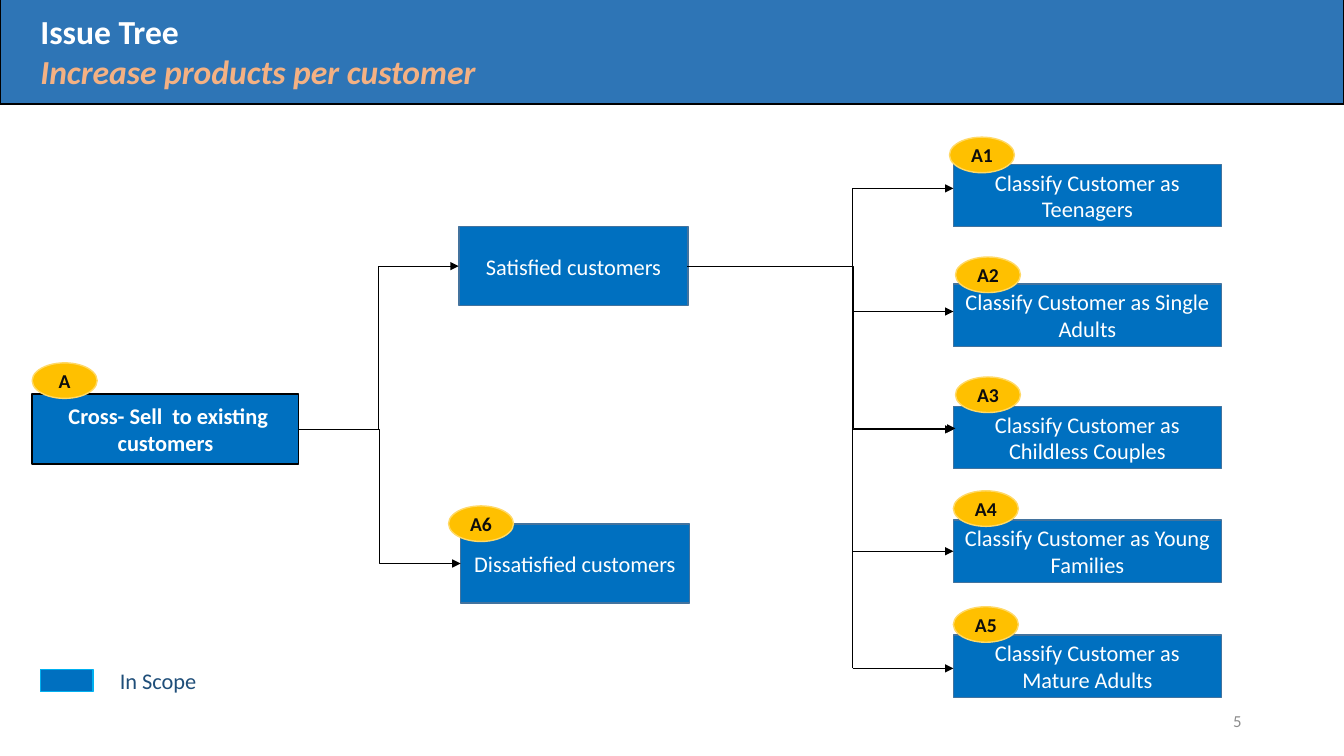
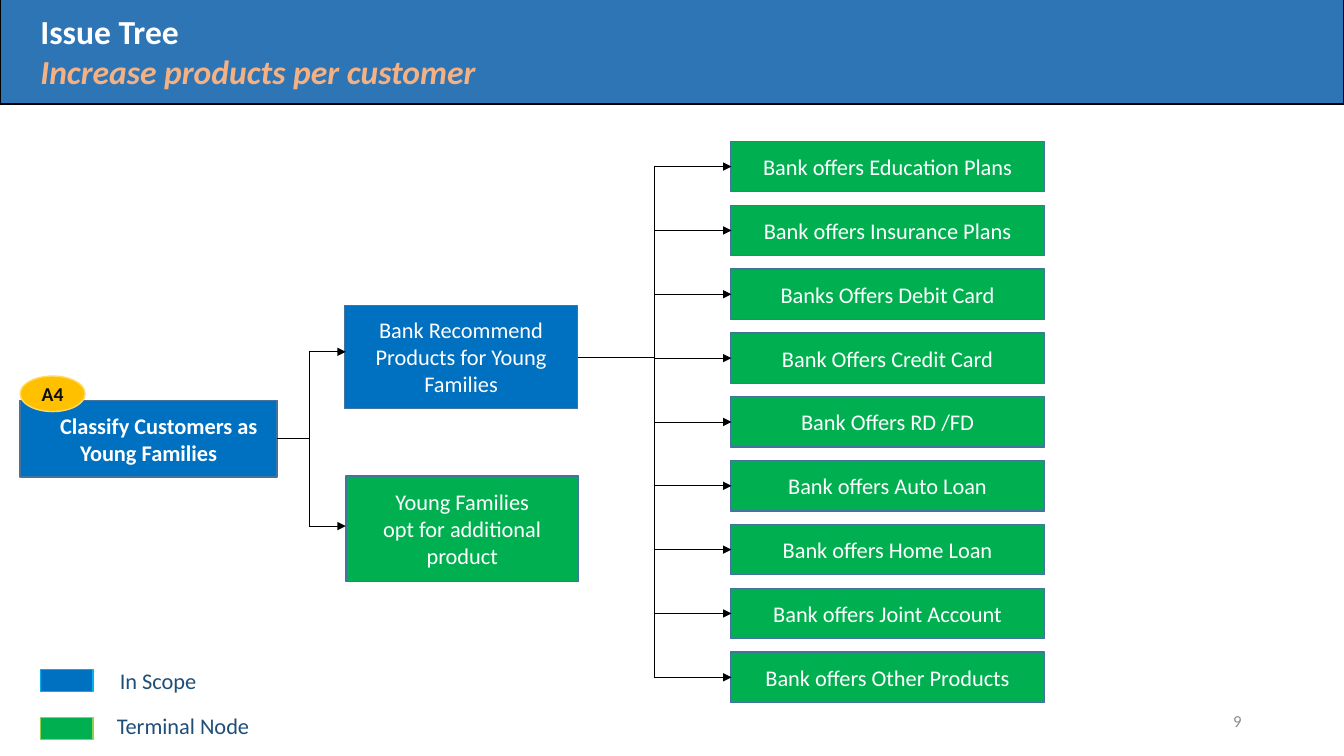
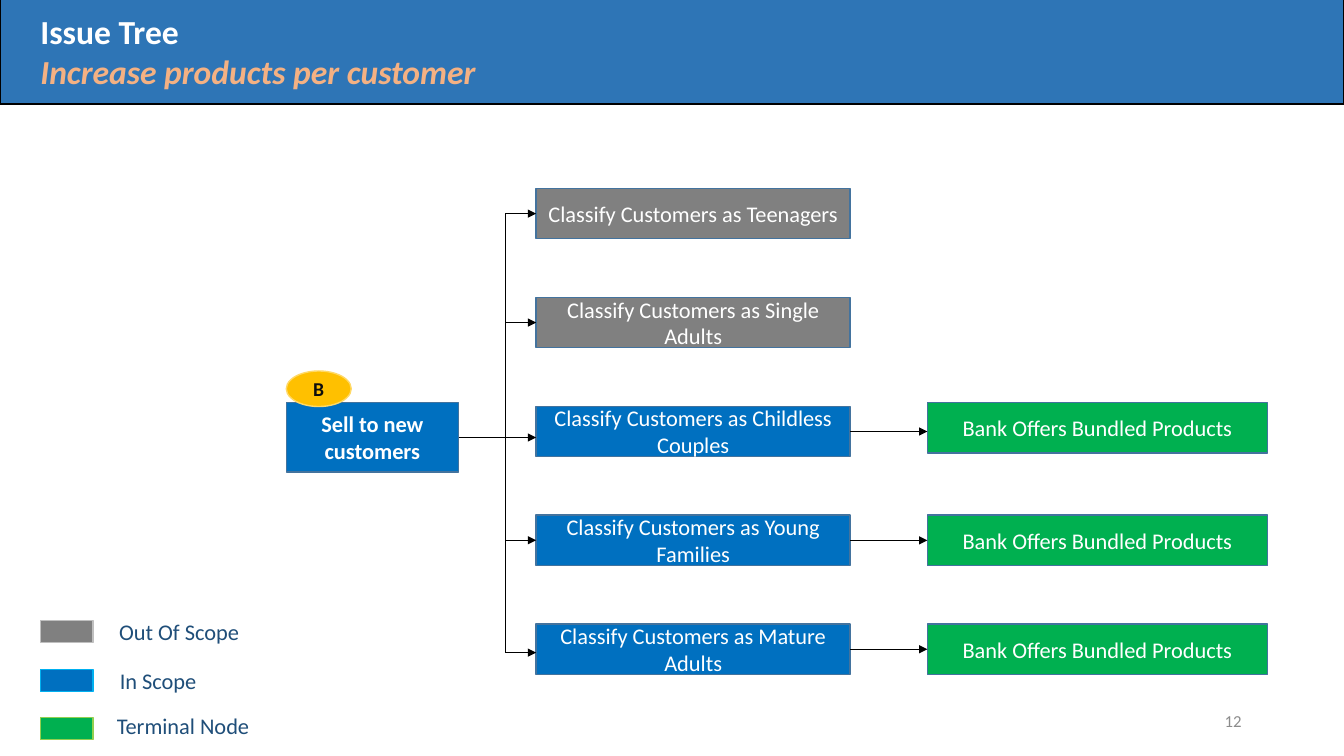
import pptx
import pptx.dml.color
import pptx.enum.shapes
import pptx.enum.text
import pptx.oxml
import pptx.oxml.ns
import pptx.util
from lxml import etree

Pt = pptx.util.Pt
RGB = pptx.dml.color.RGBColor.from_string
qn = pptx.oxml.ns.qn
SHAPE = pptx.enum.shapes.MSO_SHAPE
CONNECTOR = pptx.enum.shapes.MSO_CONNECTOR
ALIGN = pptx.enum.text.PP_ALIGN
ANCHOR = pptx.enum.text.MSO_ANCHOR

COLORS = {
    "band": "2E75B6", "subtitle": "F4B183", "white": "FFFFFF", "black": "000000",
    "in": "0070C0", "out": "808080", "terminal": "00B050", "box_line": "43739E",
    "badge": "FFC000", "badge_line": "FFD966", "badge_text": "0D0D0D",
    "label": "1F4E79", "number": "8C8C8C",
    "in_line": "00B0F0", "out_line": "BFBFBF", "terminal_line": "92D050",
}

# Text styles: alignment, anchor, colour and font values
STYLES = {
    "title": (ALIGN.LEFT, ANCHOR.MIDDLE, "white", {"size": Pt(24), "bold": True}),
    "box": (ALIGN.CENTER, ANCHOR.MIDDLE, "white", {"size": Pt(16), "bold": False}),
    "root": (ALIGN.CENTER, ANCHOR.MIDDLE, "white", {"size": Pt(16), "bold": True}),
    "badge": (ALIGN.CENTER, ANCHOR.MIDDLE, "badge_text", {"size": Pt(14), "bold": True}),
    "label": (ALIGN.LEFT, ANCHOR.TOP, "label", {"size": Pt(16), "bold": False}),
    "number": (ALIGN.RIGHT, ANCHOR.MIDDLE, "number", {"size": Pt(12), "bold": False}),
}

# Legend entries: swatch top, label left, label top, label
LEGEND = {
    "out": (443, 78, 438, "Out Of Scope"),
    "in": (478, 78.5, 473, "In Scope"),
    "terminal": (512.6, 76.3, 505.4, "Terminal Node"),
}


def paint(shape, style, text="", fill=None, line=None):
    """Fill and outline a shape, then set its text in a named style."""
    if fill:
        shape.shadow.inherit = False
        shape.fill.solid()
        shape.fill.fore_color.rgb = RGB(COLORS[fill])
        shape.line.color.rgb = RGB(COLORS[line])
        shape.line.width = Pt(1)
    alignment, anchor, color, font_values = STYLES[style]
    shape.text_frame.text = text
    shape.text_frame.vertical_anchor = anchor
    for paragraph in shape.text_frame.paragraphs:
        paragraph.alignment = alignment
        for run in paragraph.runs:
            run.font.name = "Calibri"
            run.font.color.rgb = RGB(COLORS[color])
            for name, value in font_values.items():
                setattr(run.font, name, value)


def connect(slide, start, end, arrow=True, bend=None):
    """Draw a straight line, or an elbow that turns at the share bend."""
    kind = CONNECTOR.ELBOW if bend else CONNECTOR.STRAIGHT
    connector = slide.shapes.add_connector(kind, *map(Pt, start + end))
    connector.line.color.rgb = RGB(COLORS["black"])
    connector.line.width = Pt(0.5)
    properties = connector._element.spPr
    if bend:
        guides = properties.find(qn("a:prstGeom")).get_or_add_avLst()
        etree.SubElement(guides, qn("a:gd"), name="adj1", fmla=f"val {round(bend * 100000)}")
    if arrow:
        etree.SubElement(properties.find(qn("a:ln")), qn("a:tailEnd"), type="triangle")
    etree.SubElement(properties, qn("a:effectLst"))


# Existing customers: boxes are (left, top, width, height, scope, text)
segments = ["Teenagers", "Single Adults", "Childless Couples", "Young Families", "Mature Adults"]
existing_tops = [117.4, 203, 290.2, 371.5, 453.6]
existing = {
    "number": "5", "legend": ["in"],
    "root": (23, 281.5, 190.5, 50, "Cross- Sell  to existing customers"),
    "root_line": "black", "root_indent": 4,
    "boxes": [(328, 162, 163.4, 56.2, "in", "Satisfied customers"),
              (329, 374.4, 163.4, 56.2, "in", "Dissatisfied customers")]
             + [(681, top, 191.5, 44.6, "in", f"Classify Customer as {segment}")
                for top, segment in zip(existing_tops, segments)],
    "lines": [((609, 477.4), (609, 134.6), False),
              ((213.2, 306.7), (327.6, 190.1), True, 0.5),
              ((213.2, 306.7), (329, 402.5), True, 0.5),
              ((491, 190.1), (682.5, 306), True, 0.618)]
             + [((609, y), (681, y)) for y in (134.6, 222.5, 306.7, 393.8, 477.4)],
    "badges": [(23, 259.2, "A"), (320.4, 361.4, "A6"), (678.2, 98, "A1"), (682.5, 183.6, "A2"),
               (682.5, 269.3, "A3"), (681, 350.6, "A4"), (681, 433.4, "A5")],
}

# Young families: nine offers on an equal pitch
offers = ["Bank offers Education Plans", "Bank offers Insurance Plans", "Banks Offers Debit Card",
          "Bank Offers Credit Card", "Bank Offers RD /FD", "Bank offers Auto Loan",
          "Bank offers Home Loan", "Bank offers Joint Account", "Bank offers Other Products"]
offer_tops = [101 + 45.6 * index for index in range(len(offers))]
families = {
    "number": "9", "legend": ["in", "terminal"],
    "root": (14.4, 286, 183.6, 54.7, "Classify Customers as Young Families"),
    "root_line": "box_line", "root_indent": 14.4,
    "boxes": [(246.2, 218.2, 166.3, 73.4, "in", "Bank Recommend Products for Young Families"),
              (247, 340, 166.3, 75.6, "terminal", "Young Families\nopt for additional product")]
             + [(522, top, 224, 36, "terminal", offer) for top, offer in zip(offer_tops, offers)],
    "lines": [((198, 313.2), (221, 313.2), False), ((221, 251.3), (221, 375.8), False),
              ((221, 251.3), (247, 251.3)), ((221, 375.8), (247, 375.8)),
              ((412.6, 255), (467.5, 255), False),
              ((467.5, offer_tops[0] + 18), (467.5, offer_tops[-1] + 18), False)]
             + [((467.5, top + 18), (522.5, top + 18)) for top in offer_tops],
    "badges": [(14.4, 268.6, "A4")],
}

# New customers: five segments, the last three lead to a product
segment_tops = [134.6 + 77.8 * index for index in range(len(segments))]
scopes = ["out"] * 2 + ["in"] * 3
new = {
    "number": "12", "legend": ["out", "in", "terminal"],
    "root": (204.5, 287.6, 123, 49.7, "Sell to new customers"),
    "root_line": "box_line", "root_indent": 0,
    "boxes": [(383, top, 224.3, 36, scope, f"Classify Customers as {segment}")
              for top, scope, segment in zip(segment_tops, scopes, segments)]
             + [(662.4, top, 242.9, 36, "terminal", "Bank Offers Bundled Products")
                for top in (287.6, 368, 445.8)],
    "lines": [((328, 312.5), (361, 312.5), False), ((361, 152.6), (361, 466.2), False)]
             + [((361, y), (383, y)) for y in (152.6, 230.4, 312.5, 385.9, 466.2)]
             + [((607.5, top + 18), (662.4, top + 18)) for top in segment_tops[2:]],
    "badges": [(204.5, 265, "B")],
}

presentation = pptx.Presentation()
presentation.slide_width = Pt(960)
presentation.slide_height = Pt(540)

for tree in (existing, families, new):
    slide = presentation.slides.add_slide(presentation.slide_layouts[5])
    shapes = slide.shapes

    # Title band
    title = shapes.title
    title.left, title.top, title.width, title.height = Pt(0), Pt(-1.4), Pt(960), Pt(75.6)
    paint(title, "title", "Issue Tree\nIncrease products per customer", "band", "black")
    title.text_frame.margin_left = Pt(28.8)
    title.text_frame.auto_size = pptx.enum.text.MSO_AUTO_SIZE.NONE
    subtitle_font = title.text_frame.paragraphs[1].runs[0].font
    subtitle_font.italic = True
    subtitle_font.color.rgb = RGB(COLORS["subtitle"])

    # Root box, with its first line indented
    *position, text = tree["root"]
    root = shapes.add_shape(SHAPE.RECTANGLE, *map(Pt, position))
    paint(root, "root", text, "in", tree["root_line"])
    indent = Pt(tree["root_indent"])
    root.text_frame.paragraphs[0]._p.get_or_add_pPr().set("indent", str(int(indent)))

    # Branches, connectors and badges
    for *position, scope, text in tree["boxes"]:
        box = shapes.add_shape(SHAPE.RECTANGLE, *map(Pt, position))
        paint(box, "box", text, scope, "box_line")
    for line in tree["lines"]:
        connect(slide, *line)
    for left, top, text in tree["badges"]:
        badge = shapes.add_shape(SHAPE.OVAL, Pt(left), Pt(top), Pt(46.4), Pt(25.4))
        paint(badge, "badge", text, "badge", "badge_line")

    # Legend
    for scope in tree["legend"]:
        swatch_top, label_left, label_top, text = LEGEND[scope]
        swatch = shapes.add_shape(SHAPE.RECTANGLE, Pt(28.8), Pt(swatch_top), Pt(37.6), Pt(15.8))
        paint(swatch, "box", "", scope, f"{scope}_line")
        label = shapes.add_textbox(Pt(label_left), Pt(label_top), Pt(110), Pt(26.6))
        label.text_frame.word_wrap = True
        paint(label, "label", text)

    # Slide number
    number = shapes.add_textbox(Pt(678), Pt(500.6), Pt(216), Pt(28.8))
    number.text_frame.word_wrap = True
    paint(number, "number", tree["number"])

presentation.save("out.pptx")
